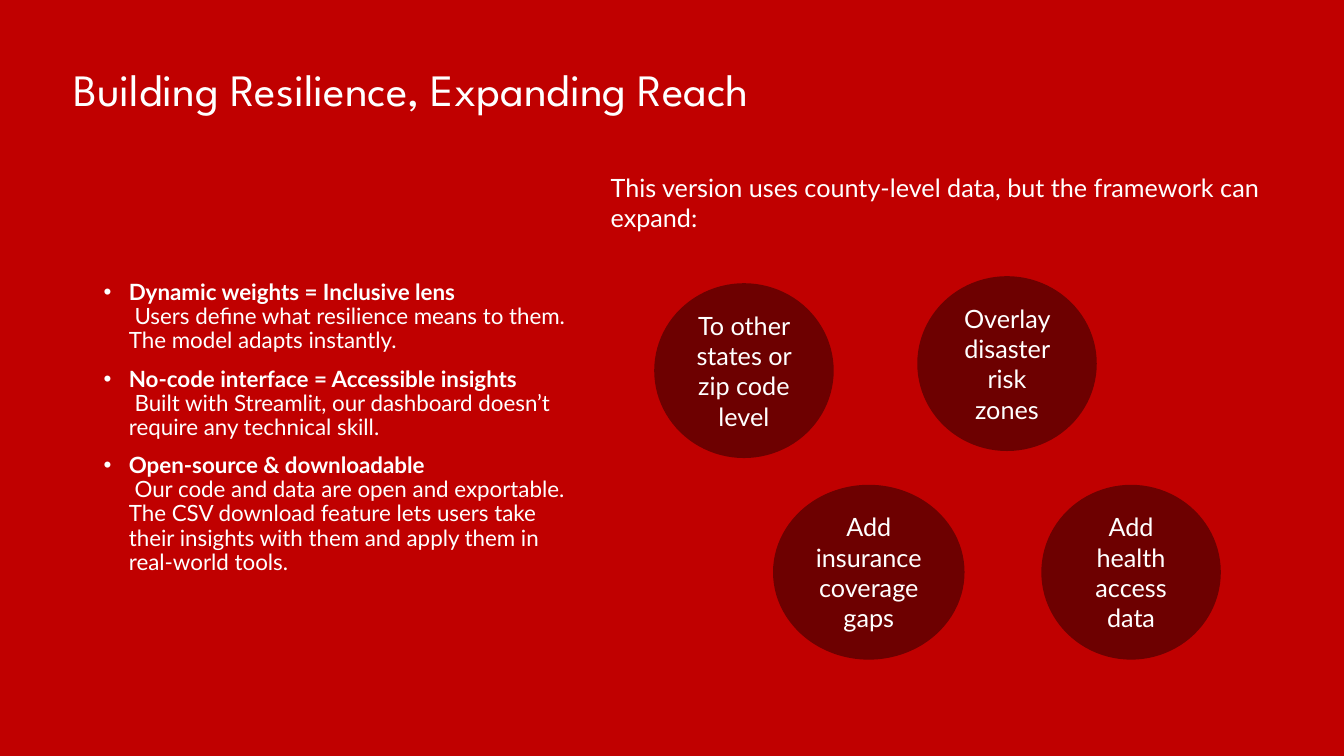
from lxml.etree import SubElement
from pptx import Presentation
from pptx.dml.color import RGBColor
from pptx.enum.shapes import MSO_SHAPE
from pptx.enum.text import MSO_ANCHOR, PP_ALIGN
from pptx.oxml.ns import qn
from pptx.util import Pt

RED = RGBColor(0xC0, 0x00, 0x00)
DARK = RGBColor(0x6D, 0x00, 0x00)
WHITE = RGBColor(0xFF, 0xFF, 0xFF)
BODY = "Lato"
HEAD = "League Spartan"

POINTS = [
    ("Dynamic weights = Inclusive lens",
     " Users define what resilience means to them. The model adapts instantly."),
    ("No-code interface = Accessible insights",
     " Built with Streamlit, our dashboard doesn’t require any technical skill."),
    ("Open-source & downloadable",
     " Our code and data are open and exportable. The CSV download feature lets "
     "users take their insights with them and apply them in real-world tools."),
]
PLANS = [
    ("To other states or zip code level", 467.3, 202.3, 128.2),
    ("Add insurance coverage gaps", 552.2, 346.3, 136.8),
    ("Overlay disaster risk zones", 655.2, 197.3, 128.2),
    ("Add health access data", 743.8, 346.3, 128.2),
]


class Deck:
    """Draws the elements of one slide in a shared style."""

    def __init__(self):
        self.file = Presentation()
        self.file.slide_width, self.file.slide_height = Pt(960), Pt(540)
        self.slide = self.file.slides.add_slide(self.file.slide_layouts[6])
        fill = self.slide.background.fill
        fill.solid()
        fill.fore_color.rgb = RED

    def style(self, font, size, name=BODY):
        font.name, font.size = name, Pt(size)
        font.color.rgb = WHITE

    def frame(self, left, top, width, height):
        box = self.slide.shapes.add_textbox(Pt(left), Pt(top), Pt(width), Pt(height))
        box.text_frame.word_wrap = True
        return box.text_frame

    def title(self, text, *place):
        frame = self.frame(*place)
        frame.vertical_anchor = MSO_ANCHOR.MIDDLE
        para = frame.paragraphs[0]
        para.line_spacing = 0.9
        for words, size, name in ((text, 32, HEAD), (" ", 44, BODY)):
            run = para.add_run()
            run.text = words
            self.style(run.font, size, name)

    def label(self, text, *place):
        para = self.frame(*place).paragraphs[0]
        para.text = text
        self.style(para.font, 18)

    def bullets(self, items, *place):
        frame = self.frame(*place)
        for index, (lead, detail) in enumerate(items):
            para = frame.add_paragraph() if index else frame.paragraphs[0]
            para.line_spacing = 0.9
            para.space_before = Pt(10 if index else 0)
            props = para._p.get_or_add_pPr()
            props.set("marL", str(Pt(18)))
            props.set("indent", str(Pt(-18)))
            SubElement(props, qn("a:buFont"), typeface="Arial")
            SubElement(props, qn("a:buChar"), char="•")
            self.style(para.font, 16)
            run = para.add_run()
            run.text = lead
            run.font.bold = True
            para.add_line_break()
            para.add_run().text = detail

    def circle(self, text, left, top, width, height=124.9):
        shape = self.slide.shapes.add_shape(
            MSO_SHAPE.OVAL, Pt(left), Pt(top), Pt(width), Pt(height))
        shape.shadow.inherit = False
        shape.fill.solid()
        shape.fill.fore_color.rgb = DARK
        shape.line.fill.background()
        frame = shape.text_frame
        frame.word_wrap = True
        frame.vertical_anchor = MSO_ANCHOR.MIDDLE
        para = frame.paragraphs[0]
        para.text = text
        para.alignment = PP_ALIGN.CENTER
        self.style(para.font, 18)


def main():
    deck = Deck()
    deck.title("Building Resilience, Expanding Reach ", 45.4, 9.4, 828, 104.4)
    deck.bullets(POINTS, 67, 197.3, 345.6, 231.8)
    deck.label("This version uses county-level data, but the framework can expand:",
               429.1, 119.5, 480.2, 51.1)
    for plan in PLANS:
        deck.circle(*plan)
    deck.file.save("out.pptx")


if __name__ == "__main__":
    main()
